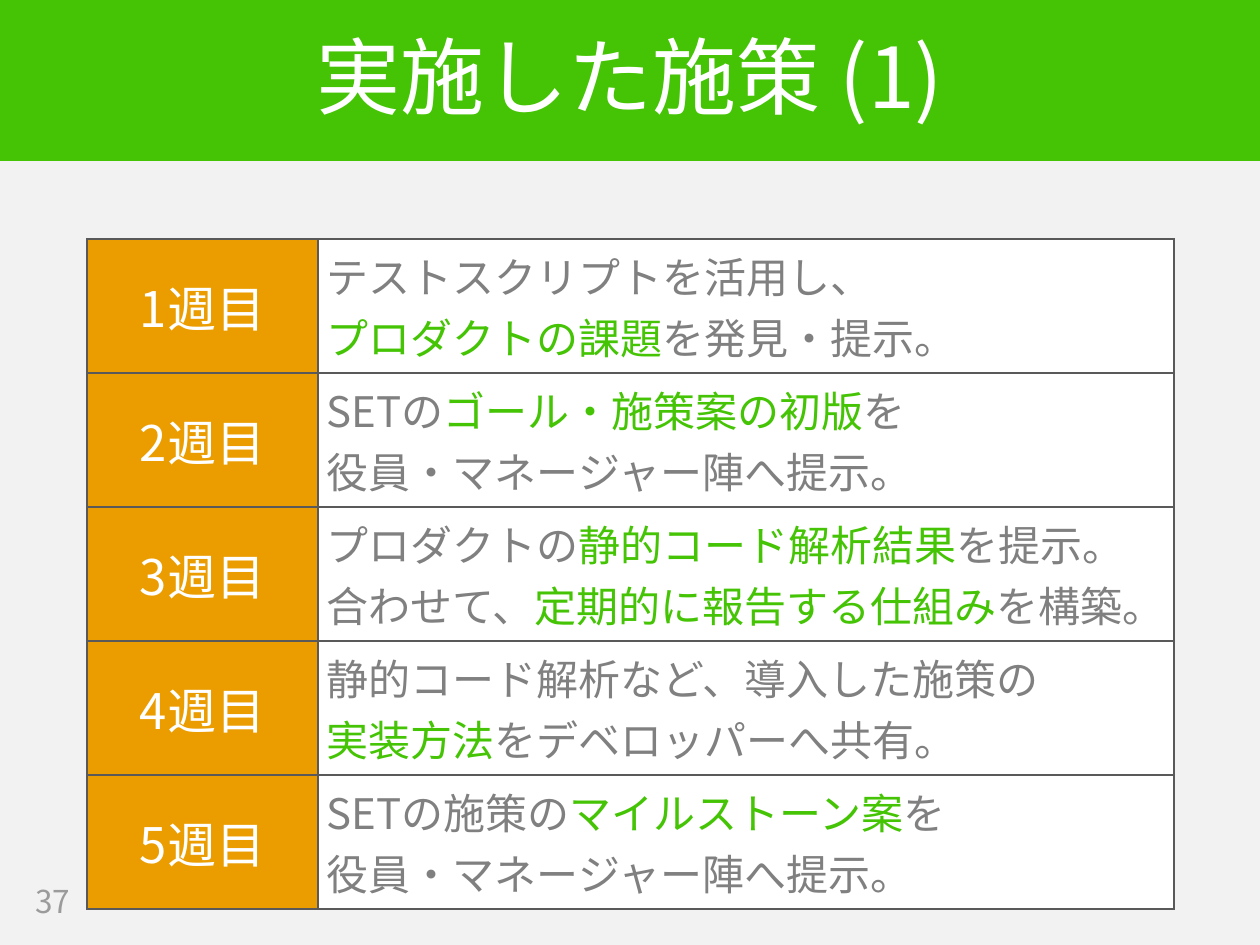
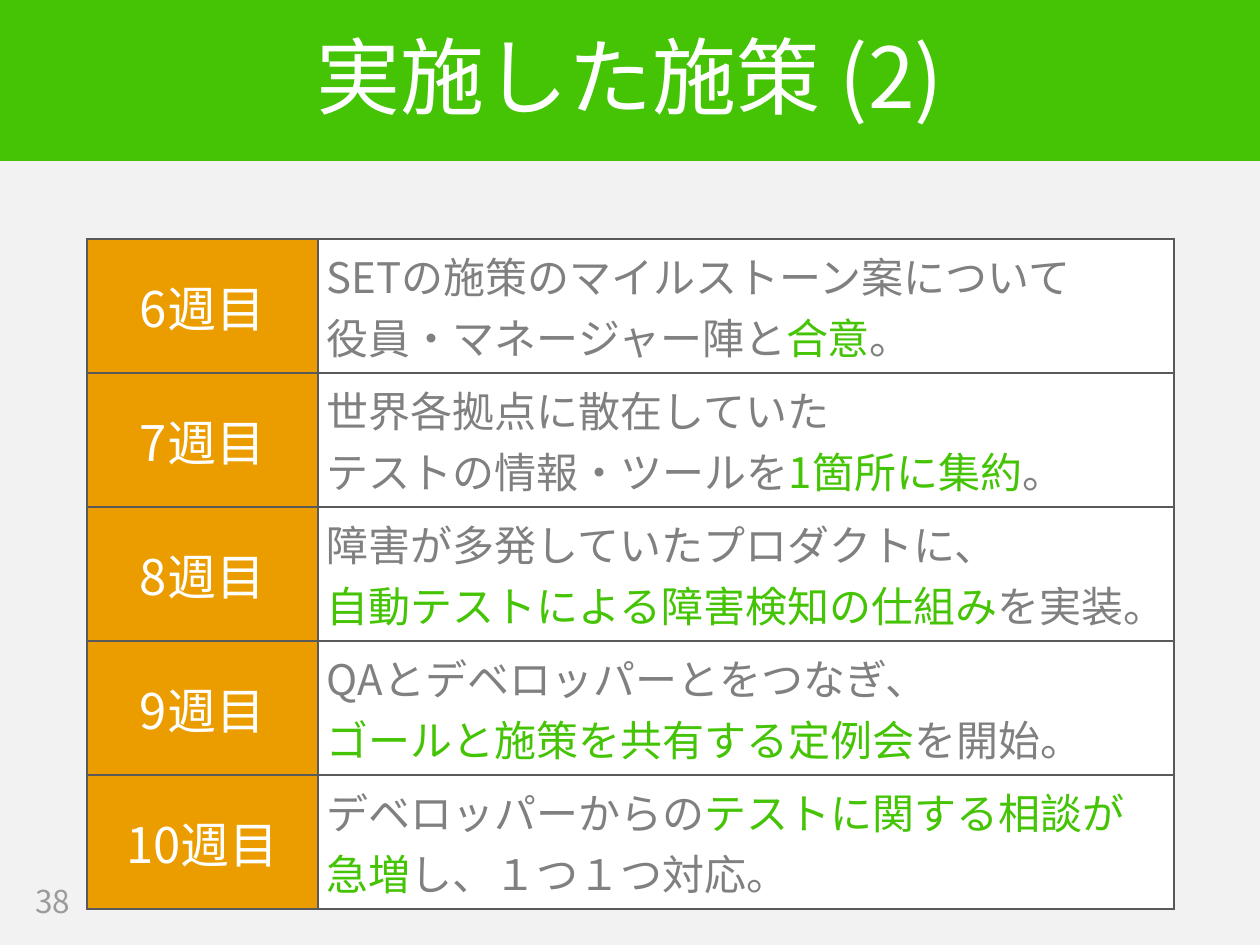
from lxml.etree import SubElement
from pptx import Presentation
from pptx.dml.color import RGBColor
from pptx.enum.shapes import MSO_SHAPE
from pptx.enum.text import MSO_ANCHOR, PP_ALIGN
from pptx.oxml.ns import qn
from pptx.util import Emu, Pt

EMU_PER_PX = 914400 / 126
SLIDE_W, SLIDE_H = 1260, 945
FONT = "Noto Sans CJK JP"
COLORS = {
    "background": "F2F2F2",
    "green": "44C404",
    "orange": "EB9D00",
    "white": "FFFFFF",
    "body": "808080",
    "number": "9B9B9B",
    "border": "595959",
}

# Each week: label and lines; text between asterisks is emphasised
PAGES = [
    (37, "実施した施策 (1)", [
        ("1週目", "テストスクリプトを活用し、\n*プロダクトの課題*を発見・提示。"),
        ("2週目", "SETの*ゴール・施策案の初版*を\n役員・マネージャー陣へ提示。"),
        ("3週目", "プロダクトの*静的コード解析結果*を提示。\n"
                 "合わせて、*定期的に報告する仕組み*を構築。"),
        ("4週目", "静的コード解析など、導入した施策の\n*実装方法*をデベロッパーへ共有。"),
        ("5週目", "SETの施策の*マイルストーン案*を\n役員・マネージャー陣へ提示。"),
    ]),
    (38, "実施した施策 (2)", [
        ("6週目", "SETの施策のマイルストーン案について\n役員・マネージャー陣と*合意*。"),
        ("7週目", "世界各拠点に散在していた\nテストの情報・ツールを*1箇所に集約*。"),
        ("8週目", "障害が多発していたプロダクトに、\n"
                 "*自動テストによる障害検知の仕組み*を実装。"),
        ("9週目", "QAとデベロッパーとをつなぎ、\n*ゴールと施策を共有する定例会*を開始。"),
        ("10週目", "デベロッパーからの*テストに関する相談が*\n*急増*し、１つ１つ対応。"),
    ]),
]


def px(length):
    return Emu(round(length * EMU_PER_PX))


def rgb(name):
    return RGBColor.from_string(COLORS[name])


def write(frame, text, size, color, align=PP_ALIGN.LEFT, spacing=None):
    """Fill a text frame, one paragraph a line, with *green* emphasis."""
    for i, line in enumerate(text.split("\n")):
        paragraph = frame.add_paragraph() if i else frame.paragraphs[0]
        paragraph.alignment = align
        paragraph.line_spacing = spacing
        for j, part in enumerate(line.split("*")):
            if not part:
                continue
            run = paragraph.add_run()
            run.text = part
            run.font.size = Pt(size)
            run.font.name = FONT
            run.font.color.rgb = rgb("green" if j % 2 else color)
            SubElement(run.font._element, qn("a:ea"), typeface=FONT)


class Deck:
    def __init__(self):
        self.prs = Presentation()
        self.prs.slide_width, self.prs.slide_height = px(SLIDE_W), px(SLIDE_H)
        self.slide = None

    def new_slide(self):
        self.slide = self.prs.slides.add_slide(self.prs.slide_layouts[6])
        fill = self.slide.background.fill
        fill.solid()
        fill.fore_color.rgb = rgb("background")

    def band(self, x, y, w, h, color):
        band = self.slide.shapes.add_shape(MSO_SHAPE.RECTANGLE, *map(px, (x, y, w, h)))
        band.shadow.inherit = False
        band.fill.solid()
        band.fill.fore_color.rgb = rgb(color)
        band.line.color.rgb = rgb(color)
        band.line.width = Pt(1)

    def text(self, x, y, w, h, text, **style):
        frame = self.slide.shapes.add_textbox(*map(px, (x, y, w, h))).text_frame
        frame.word_wrap = True
        frame.vertical_anchor = MSO_ANCHOR.MIDDLE
        write(frame, text, **style)

    def cell(self, cell, text, fill, **style):
        cell.vertical_anchor = MSO_ANCHOR.MIDDLE
        cell.margin_left = cell.margin_right = px(9)
        cell.margin_top = cell.margin_bottom = px(6)
        properties = cell._tc.get_or_add_tcPr()
        for side in ("lnL", "lnR", "lnT", "lnB"):
            line = SubElement(properties, qn(f"a:{side}"), w=str(Pt(1)))
            solid = SubElement(line, qn("a:solidFill"))
            SubElement(solid, qn("a:srgbClr"), val=COLORS["border"])
        cell.fill.solid()
        cell.fill.fore_color.rgb = rgb(fill)
        write(cell.text_frame, text, **style)

    def week_table(self, x, y, label_w, measure_w, row_h, weeks):
        table = self.slide.shapes.add_table(
            len(weeks), 2, px(x), px(y),
            px(label_w + measure_w), px(row_h * len(weeks))).table
        table.first_row = table.horz_banding = False
        table.columns[0].width, table.columns[1].width = px(label_w), px(measure_w)
        for r, (week, measure) in enumerate(weeks):
            table.rows[r].height = px(row_h)
            self.cell(table.cell(r, 0), week, "orange",
                      size=28, color="white", align=PP_ALIGN.CENTER)
            self.cell(table.cell(r, 1), measure, "white", size=24, color="body")


def main():
    deck = Deck()
    for number, title, weeks in PAGES:
        deck.new_slide()
        # Title band
        deck.band(0, -1, SLIDE_W, 161, "green")
        deck.text(0, 45, SLIDE_W, 72, title, size=48, color="white",
                  align=PP_ALIGN.CENTER, spacing=0.9)
        # Page number
        deck.text(23, 876, 100, 49, str(number), size=18, color="number")
        # Weekly measures
        deck.week_table(87, 239, 231, 856, 134, weeks)
    deck.prs.save("out.pptx")


if __name__ == "__main__":
    main()
